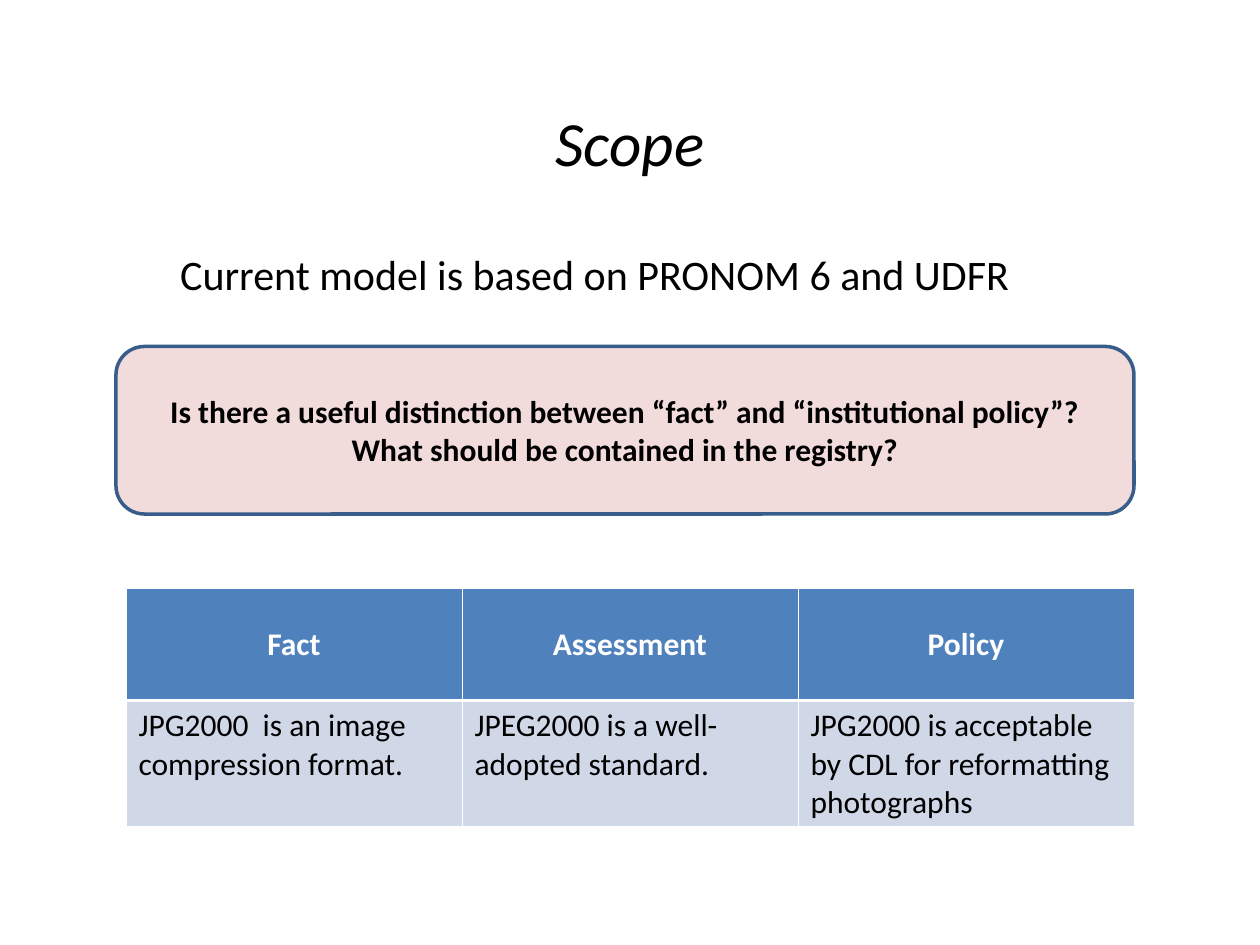
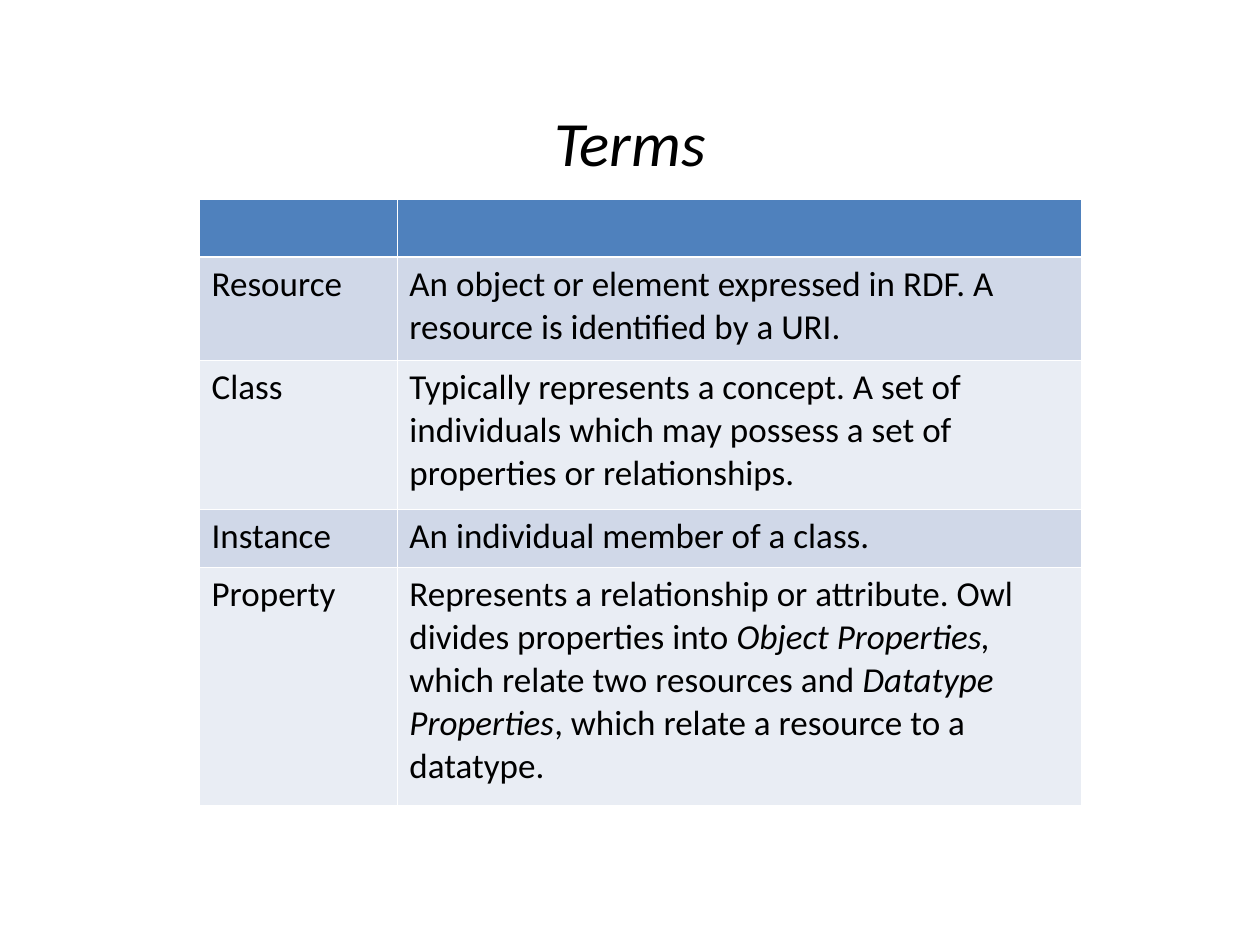
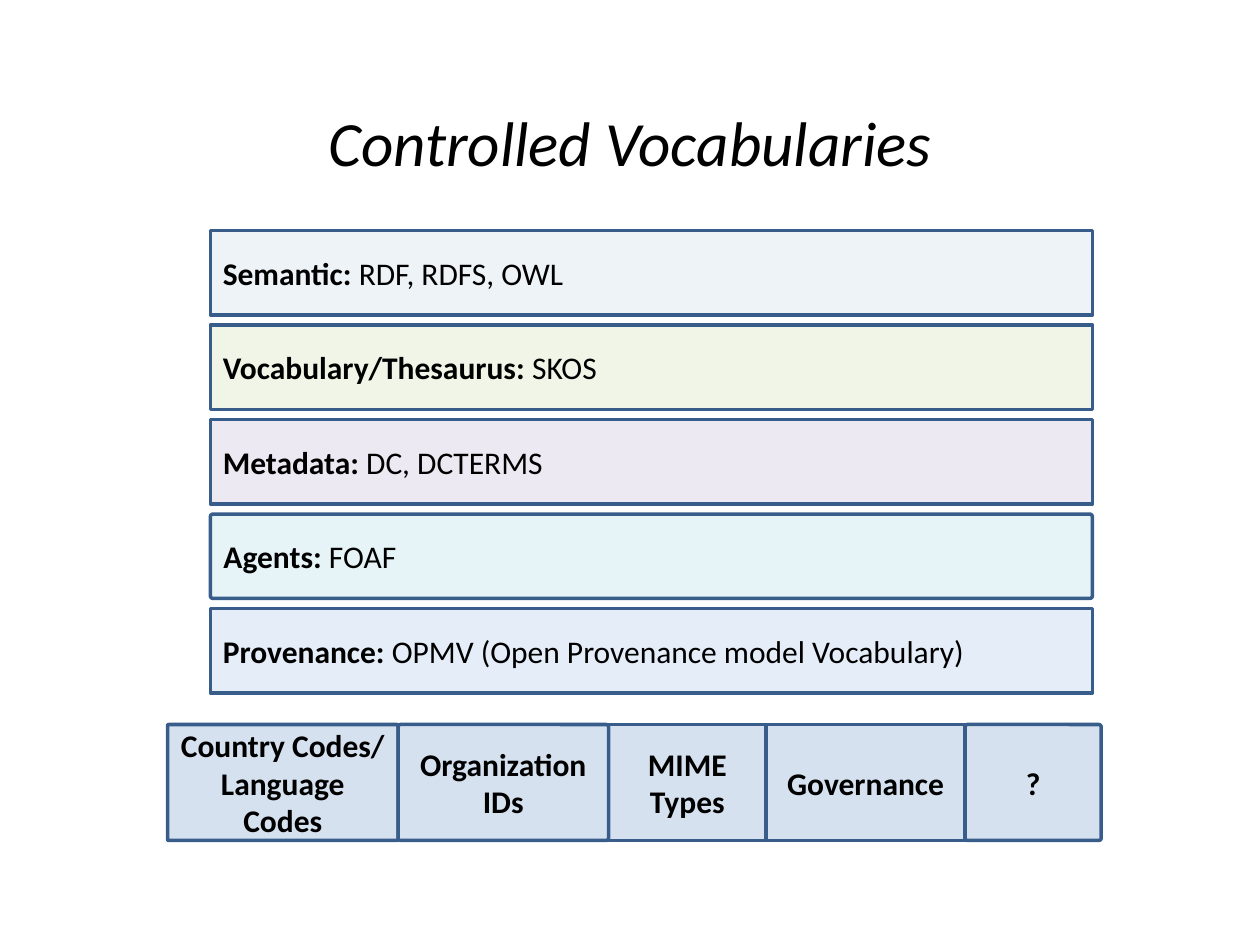
from itertools import accumulate

from lxml.etree import SubElement
from pptx import Presentation
from pptx.dml.color import RGBColor
from pptx.enum.shapes import MSO_SHAPE
from pptx.enum.text import MSO_ANCHOR, PP_ALIGN
from pptx.oxml import parse_xml
from pptx.oxml.ns import nsdecls, qn
from pptx.util import Inches, Pt

BLACK = RGBColor(0x00, 0x00, 0x00)
WHITE = RGBColor(0xFF, 0xFF, 0xFF)
BLUE = RGBColor(0x4F, 0x81, 0xBD)
NAVY = RGBColor(0x38, 0x5D, 0x8A)
PINK = RGBColor(0xF2, 0xDC, 0xDB)
SKY = RGBColor(0xB9, 0xCD, 0xE5)
GREEN = RGBColor(0xC3, 0xD6, 0x9B)
PURPLE = RGBColor(0xB3, 0xA2, 0xC7)
TEAL = RGBColor(0x93, 0xCD, 0xDD)
AZURE = RGBColor(0x8E, 0xB4, 0xE3)
BANDS = (RGBColor(0xD0, 0xD8, 0xE8), RGBColor(0xE9, 0xED, 0xF4))

FONT = "Calibri"
THIN, THICK = 0.45, 1.47
TITLE_ONLY = 5


class Deck:
    def __init__(self):
        self.prs = Presentation()
        self.prs.slide_width = Inches(10)
        self.prs.slide_height = Inches(7.5)
        self.slide = None

    def put(self, frame, text, size, color=BLACK, bold=False, italic=False,
            align=PP_ALIGN.LEFT):
        """Fill a frame with one paragraph a line.

        A part between asterisks is bold when it opens the line, else italic.
        """
        frame.word_wrap = True
        for num, line in enumerate(text.split("\n")):
            para = frame.add_paragraph() if num else frame.paragraphs[0]
            para.alignment = align
            lead = line.startswith("*")
            for pos, part in enumerate(line.split("*")):
                if not part:
                    continue
                run = para.add_run()
                run.text = part
                marked = pos % 2 == 1
                font = run.font
                font.name, font.size = FONT, Pt(size)
                font.color.rgb = color
                font.bold = bold or (marked and lead)
                font.italic = italic or (marked and not lead)

    def start(self, title):
        self.slide = self.prs.slides.add_slide(self.prs.slide_layouts[TITLE_ONLY])
        head = self.slide.shapes.title
        head.left, head.top = Inches(0.5), Inches(0.75)
        head.width, head.height = Inches(9), Inches(0.75)
        head.text_frame.vertical_anchor = MSO_ANCHOR.MIDDLE
        self.put(head.text_frame, title, 36, italic=True, align=PP_ALIGN.CENTER)

    def label(self, text, left, top, width, height, size):
        box = self.slide.shapes.add_textbox(
            Inches(left), Inches(top), Inches(width), Inches(height))
        self.put(box.text_frame, text, size, align=PP_ALIGN.CENTER)

    def panel(self, text, left, top, width, height, fill, round=0, alpha=None, **style):
        shape = self.slide.shapes.add_shape(
            MSO_SHAPE.ROUNDED_RECTANGLE,
            Inches(left), Inches(top), Inches(width), Inches(height))
        shape.adjustments[0] = round
        shape.shadow.inherit = False
        shape.fill.solid()
        shape.fill.fore_color.rgb = fill
        if alpha:
            tint = shape._element.spPr.find(qn("a:solidFill"))[0]
            SubElement(tint, qn("a:alpha"), val=str(alpha * 1000))
        shape.line.color.rgb = NAVY
        shape.line.width = Pt(2)
        shape.text_frame.vertical_anchor = MSO_ANCHOR.MIDDLE
        self.put(shape.text_frame, text, 18, **style)

    def edge(self, cell, top, bottom):
        """Draw white cell borders; top and bottom are widths in points."""
        props = cell._tc.get_or_add_tcPr()
        sides = {"L": THIN, "R": THIN, "T": top, "B": bottom}
        for pos, (side, width) in enumerate(sides.items()):
            props.insert(pos, parse_xml(
                f'<a:ln{side} {nsdecls("a")} w="{Pt(width)}"><a:solidFill>'
                f'<a:srgbClr val="{WHITE}"/></a:solidFill></a:ln{side}>'))

    def table(self, rows, left, top, widths, heights, size):
        """Add a table with a blue header row and banded rows below it."""
        grid = self.slide.shapes.add_table(
            len(rows), len(widths), Inches(left), Inches(top),
            Inches(sum(widths)), Inches(sum(heights))).table
        for col, width in zip(grid.columns, widths):
            col.width = Inches(width)
        for r, (texts, height) in enumerate(zip(rows, heights)):
            grid.rows[r].height = Inches(height)
            for c, text in enumerate(texts):
                cell = grid.cell(r, c)
                cell.fill.solid()
                if r == 0:
                    cell.fill.fore_color.rgb = BLUE
                    cell.vertical_anchor = MSO_ANCHOR.MIDDLE
                    self.put(cell.text_frame, text, size, WHITE, bold=True,
                             align=PP_ALIGN.CENTER)
                else:
                    cell.fill.fore_color.rgb = BANDS[(r - 1) % 2]
                    self.put(cell.text_frame, text, size)
                self.edge(cell, THICK if r == 1 else THIN, THICK if r == 0 else THIN)


def scope(deck):
    deck.start("Scope")
    deck.label("Current model is based on PRONOM 6 and UDFR", 1.25, 1.92, 6.94, 1.3, 24)
    deck.panel("Is there a useful distinction between “fact” and “institutional policy”?\n"
               "What should be contained in the registry?",
               0.92, 2.75, 8.08, 1.33, PINK, round=0.17, bold=True,
               align=PP_ALIGN.CENTER)
    rows = [
        ("Fact", "Assessment", "Policy"),
        ("JPG2000  is an image compression format.",
         "JPEG2000 is a well-adopted standard.",
         "JPG2000 is acceptable by CDL for reformatting photographs"),
    ]
    deck.table(rows, 1, 4.67, [8 / 3] * 3, [0.89, 1], 18)


def terms(deck):
    deck.start("Terms")
    rows = [
        ("", ""),
        ("Resource",
         "An object or element expressed in RDF. A resource is identified by a URI."),
        ("Class",
         "Typically represents a concept. A set of individuals which may possess "
         "a set of properties or relationships."),
        ("Instance", "An individual member of a class."),
        ("Property",
         "Represents a relationship or attribute. Owl divides properties into "
         "*Object Properties, *which relate two resources and *Datatype Properties*"
         ", which relate a resource to a datatype."),
    ]
    deck.table(rows, 1.58, 1.58, [1.57, 5.43], [0.46, 0.82, 1.18, 0.46, 1.89], 20)


def vocabs(deck):
    deck.start("Controlled Vocabularies")
    bars = [
        ("*Semantic: *RDF, RDFS, OWL", SKY, 0),
        ("*Vocabulary/Thesaurus: *SKOS", GREEN, 0),
        ("*Metadata: *DC, DCTERMS", PURPLE, 0),
        ("*Agents: *FOAF", TEAL, 0.03),
        ("*Provenance: *OPMV (Open Provenance model Vocabulary)", AZURE, 0),
    ]
    for num, (text, fill, round) in enumerate(bars):
        deck.panel(text, 1.67, 1.83 + 0.75 * num, 7, 0.67, fill, round, alpha=23)

    codes = [
        ("Country Codes/ Language Codes", 1.83, 0.01),
        ("Organization IDs", 1.67, 0.02),
        ("MIME Types", 1.25, 0),
        ("Governance", 1.58, 0),
        ("?", 1.08, 0.02),
    ]
    lefts = accumulate((width for _, width, _ in codes), initial=1.33)
    for left, (text, width, round) in zip(lefts, codes):
        deck.panel(text, left, 5.75, width, 0.92, BLUE, round, alpha=23, bold=True,
                   align=PP_ALIGN.CENTER)


def main():
    deck = Deck()
    for build in (scope, terms, vocabs):
        build(deck)
    deck.prs.save("out.pptx")


if __name__ == "__main__":
    main()
